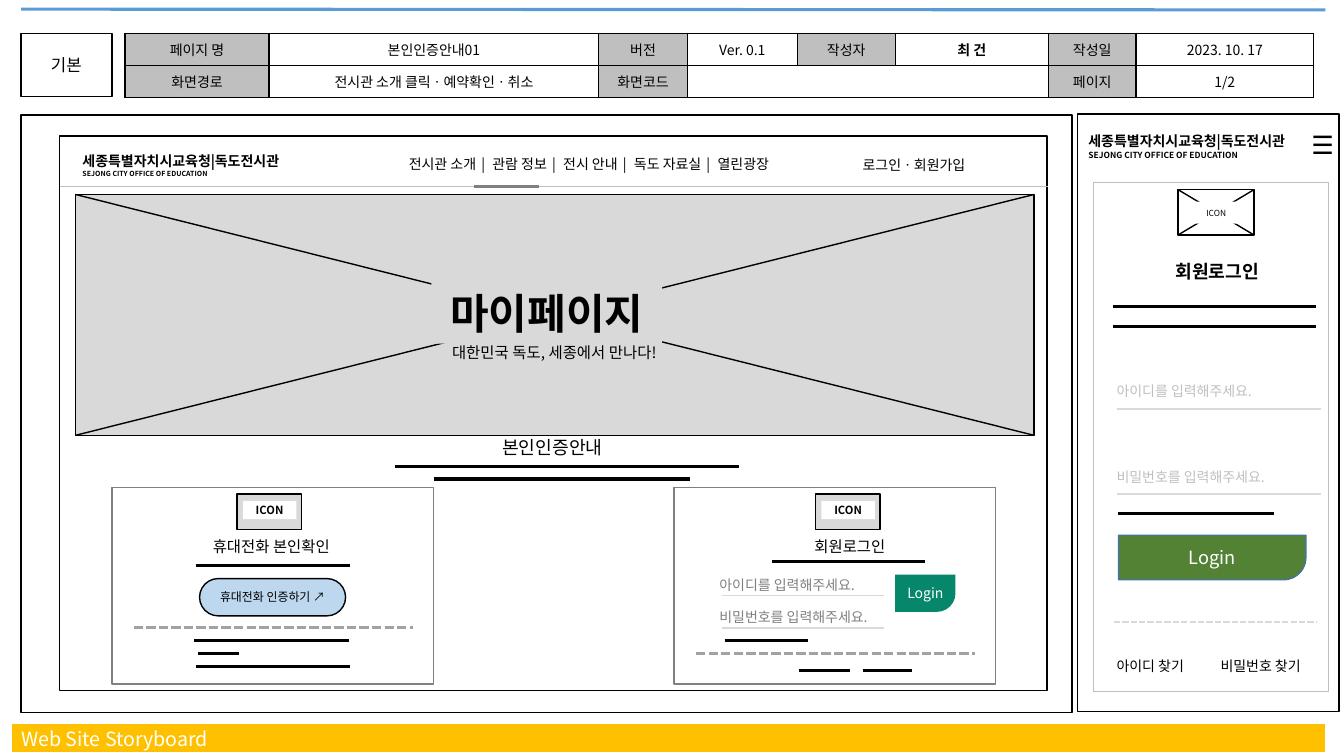
from lxml import etree
from pptx import Presentation
from pptx.dml.color import RGBColor
from pptx.enum.dml import MSO_LINE
from pptx.enum.shapes import MSO_CONNECTOR, MSO_SHAPE as Preset
from pptx.enum.text import MSO_ANCHOR as Anchor, PP_ALIGN as Align
from pptx.oxml.ns import qn
from pptx.util import Cm, Pt

FONT = "Noto Sans CJK KR"
COLORS = {
    "black": "000000", "white": "FFFFFF", "dark gray": "808080", "dash": "A2A2A2",
    "label": "BFBFBF", "light gray": "D9D9D9", "blue": "5B9BD5", "yellow": "FFC000",
    "pale blue": "BDD7EE", "teal": "06866B", "green": "548235", "green edge": "43739E",
}
ID_HINT, PASSWORD_HINT = "아이디를 입력해주세요.", "비밀번호를 입력해주세요."


def rgb(color):
    return RGBColor.from_string(COLORS[color])


def format_run(run, size, color="black", bold=False):
    font = run.font
    font.size, font.bold, font.name = Pt(size), bold, FONT
    font.color.rgb = rgb(color)
    etree.SubElement(run._r.get_or_add_rPr(), qn("a:ea"), typeface=FONT)


def write(frame, text, size, color="black", bold=False, align=Align.CENTER):
    """Fill a text frame, vertically centred; left-aligned text keeps a side inset."""
    frame.text = text
    frame.word_wrap = True
    frame.vertical_anchor = Anchor.MIDDLE
    frame.margin_top = frame.margin_bottom = 0
    frame.margin_left = frame.margin_right = Cm(0.25 if align == Align.LEFT else 0)
    for paragraph in frame.paragraphs:
        paragraph.alignment = align
        for run in paragraph.runs:
            format_run(run, size, color, bold)


def add_label(slide, box, text, size, color="black", bold=False, align=Align.CENTER):
    label = slide.shapes.add_textbox(*map(Cm, box))
    write(label.text_frame, text, size, color, bold, align)
    return label


def add_box(slide, box, fill=None, edge="black", preset=Preset.RECTANGLE):
    outline = slide.shapes.add_shape(preset, *map(Cm, box))
    outline.shadow.inherit = False
    if fill:
        outline.fill.solid()
        outline.fill.fore_color.rgb = rgb(fill)
    else:
        outline.fill.background()
    if edge:
        outline.line.color.rgb = rgb(edge)
        outline.line.width = Pt(1)
    else:
        outline.line.fill.background()
    return outline


def add_rule(slide, x1, y1, x2, y2, color="black", width=2.25, dashed=False):
    rule = slide.shapes.add_connector(MSO_CONNECTOR.STRAIGHT, *map(Cm, (x1, y1, x2, y2)))
    rule.line.color.rgb = rgb(color)
    rule.line.width = Pt(width)
    if dashed:
        rule.line.dash_style = MSO_LINE.SQUARE_DOT
    etree.SubElement(rule.element.spPr, qn("a:effectLst"))


def add_text_bars(slide, bars):
    """Draw thick horizontal strokes, given as (left, right, y), standing for text."""
    for left, right, y in bars:
        add_rule(slide, left, y, right, y)


def add_crossed_box(slide, box, fill):
    left, top, width, height = box
    add_box(slide, box, fill)
    add_rule(slide, left, top, left + width, top + height, width=1)
    add_rule(slide, left, top + height, left + width, top, width=1)


def add_login_button(slide, box, size, fill, edge=None):
    button = add_box(slide, box, fill, edge, Preset.ROUND_1_RECTANGLE)
    button.adjustments[0] = 0.5
    button.element.spPr.find(qn("a:xfrm")).set("flipV", "1")
    add_label(slide, box, "Login", size, "white")


def add_site_name(slide, box, subtitle_size):
    name = add_label(slide, box, "세종특별자치시교육청|독도전시관\nSEJONG CITY OFFICE OF EDUCATION",
                     10, bold=True, align=Align.LEFT)
    name.text_frame.paragraphs[1].runs[0].font.size = Pt(subtitle_size)


def add_menu(slide, box, entries):
    """Write menu entries in one line, parted by widely spaced bars."""
    menu = add_label(slide, box, "", 10)
    paragraph = menu.text_frame.paragraphs[0]
    for index, entry in enumerate(entries):
        if index:
            separator = paragraph.add_run()
            separator.text = " | "
            format_run(separator, 10)
            separator._r.get_or_add_rPr().set("spc", "150")
        run = paragraph.add_run()
        run.text = entry
        format_run(run, 10)


def add_cell_borders(cell):
    properties = cell._tc.get_or_add_tcPr()
    for position, side in enumerate(("a:lnL", "a:lnR", "a:lnT", "a:lnB")):
        border = etree.Element(qn(side), w=str(Pt(1)))
        fill = etree.SubElement(border, qn("a:solidFill"))
        etree.SubElement(fill, qn("a:srgbClr"), val=COLORS["black"])
        properties.insert(position, border)


def add_page_info(slide):
    widths = (3.63, 8.31, 2.23, 2.77, 2.47, 3.86, 2.21, 4.47)
    rows = (
        ("페이지 명", "본인인증안내01", "버전", "Ver. 0.1", "작성자", "최 건", "작성일", "2023. 10. 17"),
        ("화면경로", "전시관 소개 클릭ㆍ예약확인ㆍ취소", "화면코드", "", "", "", "페이지", "1/2"),
    )
    info = slide.shapes.add_table(2, len(widths), Cm(3.15), Cm(0.84), Cm(sum(widths)), Cm(1.62)).table
    info.first_row = info.horz_banding = False
    for column, width in zip(info.columns, widths):
        column.width = Cm(width)
    for r, row in enumerate(rows):
        for c, text in enumerate(row):
            cell = info.cell(r, c)
            write(cell.text_frame, text, 10, bold=text == "최 건")
            cell.vertical_anchor = Anchor.MIDDLE
            cell.margin_top = cell.margin_bottom = 0
            cell.fill.solid()
            cell.fill.fore_color.rgb = rgb("label" if c % 2 == 0 and text else "white")
            add_cell_borders(cell)
    info.cell(1, 3).merge(info.cell(1, 5))


def add_frame(slide):
    add_rule(slide, 0.53, 0.23, 33.4, 0.25, "blue")
    add_rule(slide, 0.3, 18.59, 33.4, 18.59, "yellow", 20)
    title = slide.shapes.title
    title.left, title.top, title.width, title.height = map(Cm, (0.28, 18.19, 6.63, 0.86))
    write(title.text_frame, "Web Site Storyboard", 14, "white", align=Align.LEFT)
    title.element.getparent().append(title.element)  # in front of the yellow bar
    write(add_box(slide, (0.53, 0.84, 2.29, 1.6), "white").text_frame, "기본", 12)
    add_page_info(slide)


def add_web_header(slide):
    add_box(slide, (0.53, 2.9, 26.49, 15.06), "white")
    add_box(slide, (1.5, 3.43, 24.89, 13.97), "white")
    add_site_name(slide, (1.83, 3.71, 6.4, 0.89), 5)
    add_menu(slide, (9.19, 3.78, 11.3, 0.69),
             ("전시관 소개", "관람 정보", "전시 안내", "독도 자료실", "열린광장"))
    add_label(slide, (21.49, 3.81, 3.35, 0.69), "로그인ㆍ회원가입", 10, align=Align.LEFT)
    add_rule(slide, 1.5, 4.7, 26.42, 4.7, "label", 0.5)
    add_rule(slide, 11.94, 4.7, 13.59, 4.7, "dark gray")
    add_crossed_box(slide, (1.9, 4.9, 24.16, 6.07), "light gray")
    banner = add_box(slide, (10.87, 7.11, 5.82, 1.55), "light gray", None)
    write(banner.text_frame, "마이페이지", 30, bold=True)
    add_label(slide, (10.34, 8.51, 7.26, 0.74), "대한민국 독도, 세종에서 만나다!", 11)
    add_label(slide, (10.95, 10.87, 5.94, 0.81), "본인인증안내", 13)
    add_text_bars(slide, [(9.96, 18.62, 11.76), (10.95, 17.4, 12.07)])


def add_card(slide, left, icon_left, heading, dash_y, bars):
    add_box(slide, (left, 12.29, 8.1, 4.95), edge="dark gray")
    add_box(slide, (icon_left, 12.45, 1.63, 0.89), "light gray")
    icon = add_box(slide, (icon_left + 0.15, 12.62, 1.35, 0.46), "white", None)
    write(icon.text_frame, "ICON", 8, bold=True)
    add_label(slide, (icon_left - 1.16, 13.41, 4.06, 0.74), heading, 11)
    add_rule(slide, left + 0.55, dash_y, left + 7.58, dash_y, "dash", dashed=True)
    add_text_bars(slide, bars)


def add_cards(slide):
    add_card(slide, 2.82, 5.97, "휴대전화 본인확인", 15.82,
             [(4.93, 8.81, 14.25), (4.9, 8.79, 16.15), (4.98, 6.02, 16.46), (4.93, 8.81, 16.79)])
    pill = add_box(slide, (5.03, 14.58, 3.68, 0.94), "pale blue", preset=Preset.ROUNDED_RECTANGLE)
    pill.adjustments[0] = 0.5
    write(pill.text_frame, "휴대전화 인증하기 ↗", 8.5)

    add_card(slide, 16.99, 20.55, "회원로그인", 16.46,
             [(19.46, 23.32, 14.15), (18.26, 20.35, 16.13), (20.14, 21.41, 16.89), (21.74, 22.99, 16.89)])
    for hint, y in ((ID_HINT, 14.4), (PASSWORD_HINT, 15.21)):
        add_label(slide, (17.88, y, 4.95, 0.69), hint, 10, "dark gray", align=Align.LEFT)
        add_rule(slide, 18.19, y + 0.61, 22.28, y + 0.61, "light gray", 1)
    add_login_button(slide, (22.56, 14.48, 1.52, 0.94), 10, "teal")


def add_mobile_screen(slide):
    add_box(slide, (27.15, 2.87, 6.6, 15.06), "white")
    add_box(slide, (27.56, 4.6, 5.92, 12.83), edge="label", preset=Preset.ACTION_BUTTON_CUSTOM)
    add_site_name(slide, (27.18, 3.18, 5.94, 1.02), 6)
    add_label(slide, (32.95, 3.1, 0.76, 1.09), "☰", 18)
    add_crossed_box(slide, (29.69, 4.78, 1.91, 1.14), "white")
    icon = add_box(slide, (30, 5.08, 1.3, 0.56), "white", None)
    write(icon.text_frame, "ICON", 6)
    add_label(slide, (28.58, 6.15, 4.19, 1.35), "회원로그인", 13, bold=True)
    add_text_bars(slide, [(28.04, 33.17, 7.72), (28.04, 33.17, 8.23), (28.17, 32.11, 12.95)])
    for hint, y, line_y in ((ID_HINT, 9.5, 10.31), (PASSWORD_HINT, 11.68, 12.45)):
        add_label(slide, (27.89, y, 5.18, 0.69), hint, 10, "label", align=Align.LEFT)
        add_rule(slide, 28.14, line_y, 33.28, line_y, "light gray", 1.5)
    add_login_button(slide, (28.19, 13.49, 4.72, 1.12), 13, "green", "green edge")
    add_rule(slide, 28.07, 15.67, 33.2, 15.67, "light gray", 1.5, dashed=True)
    for link, left in (("아이디 찾기", 27.89), ("비밀번호 찾기", 30.51)):
        add_label(slide, (left, 16.43, 3.02, 0.69), link, 10, align=Align.LEFT)


def main():
    deck = Presentation()
    deck.slide_width, deck.slide_height = Cm(33.87), Cm(19.05)
    slide = deck.slides.add_slide(deck.slide_layouts[5])
    add_frame(slide)
    add_web_header(slide)
    add_cards(slide)
    add_mobile_screen(slide)
    deck.save("out.pptx")


if __name__ == "__main__":
    main()
